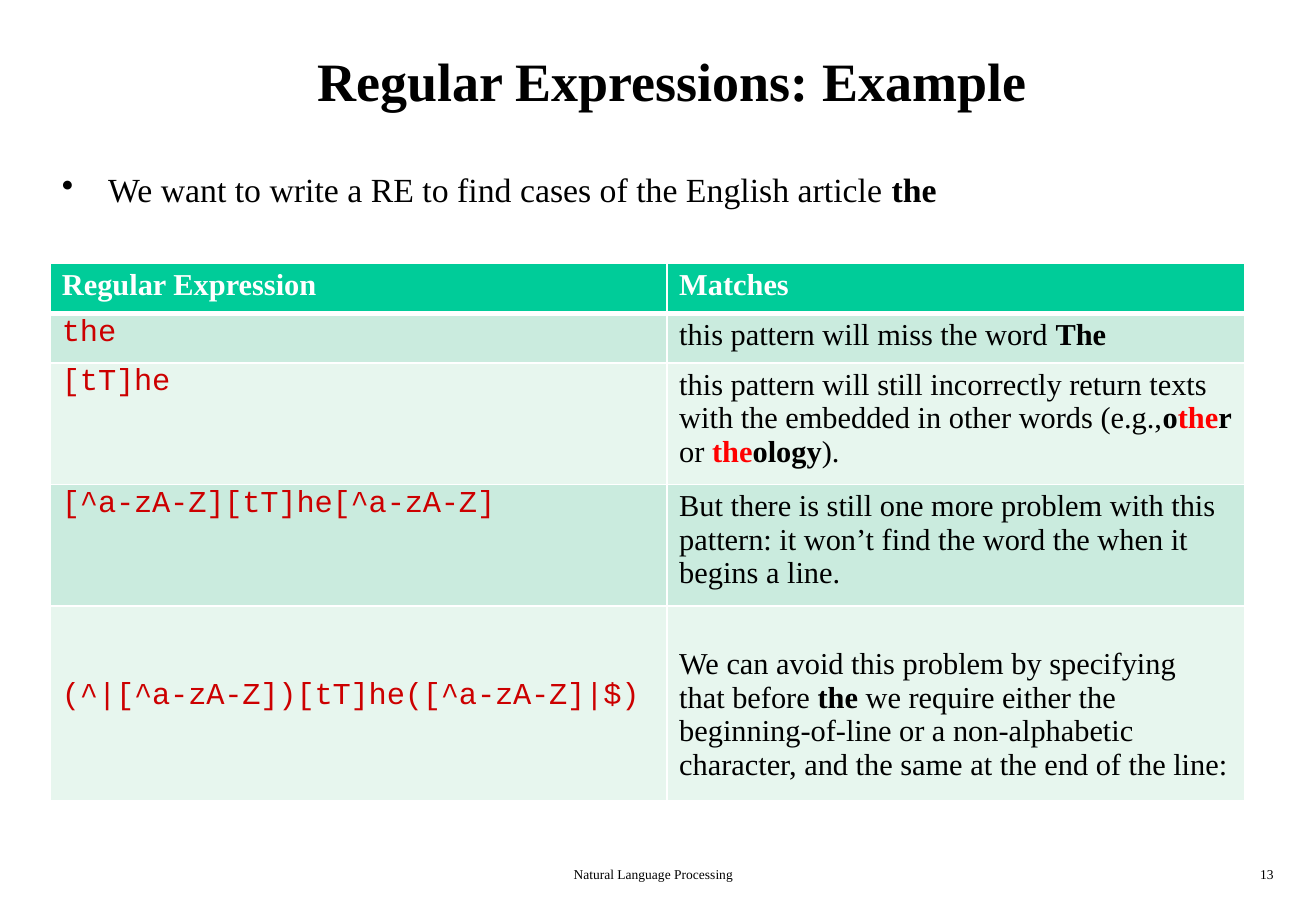
"""Build the slide on regular expressions that find the English article "the"."""
import pptx
import pptx.dml.color
import pptx.enum.text
import pptx.oxml
import pptx.oxml.ns
import pptx.util

Inches = pptx.util.Inches
Pt = pptx.util.Pt
RGBColor = pptx.dml.color.RGBColor

BLACK = RGBColor(0x00, 0x00, 0x00)
WHITE = RGBColor(0xFF, 0xFF, 0xFF)
RED = RGBColor(0xFF, 0x00, 0x00)
CODE_RED = RGBColor(0xCC, 0x00, 0x00)
HEADER_GREEN = RGBColor(0x00, 0xCC, 0x99)
BAND_DARK = RGBColor(0xCA, 0xEB, 0xDE)
BAND_LIGHT = RGBColor(0xE7, 0xF6, 0xEE)
SERIF = "Times New Roman"
MONO = "Courier New"
NAMESPACE = pptx.oxml.ns.nsdecls("a")


def add_runs(para, runs, size, font=SERIF):
    """Add (text, color, bold) runs, breaking the line at each newline."""
    for text, color, bold in runs:
        for number, line in enumerate(text.split("\n")):
            if number:
                para.add_line_break()
            if not line:
                continue
            span = para.add_run()
            span.text = line
            span.font.size = Pt(size)
            span.font.name = font
            span.font.bold = bold
            span.font.color.rgb = color
            if font == MONO:
                span._r.get_or_add_rPr().set("spc", "-10")


def add_box(page, left, top, width, height, runs, size, margin_top):
    """Add a text box and return its paragraph."""
    box = page.shapes.add_textbox(Inches(left), Inches(top), Inches(width), Inches(height))
    frame = box.text_frame
    frame.word_wrap = True
    frame.margin_left = frame.margin_right = frame.margin_bottom = 0
    frame.margin_top = Inches(margin_top)
    para = frame.paragraphs[0]
    add_runs(para, runs, size)
    return para


deck = pptx.Presentation()
deck.slide_width = Inches(10.83)
deck.slide_height = Inches(7.5)
page = deck.slides.add_slide(deck.slide_layouts[6])

add_box(page, 2.61, 0.37, 5.95, 0.56,
        [("Regular Expressions: Example", BLACK, True)], 32, 0.02)
add_box(page, 4.72, 7.13, 1.4, 0.15,
        [("Natural Language Processing", BLACK, False)], 8, 0)
add_box(page, 10.37, 7.13, 0.2, 0.15, [("13", BLACK, False)], 8, 0)

bullet = add_box(page, 0.5, 1.36, 7.3, 0.36, [
    ("We want to write a RE to find cases of the English article ", BLACK, False),
    ("the", BLACK, True),
], 20, 0.03)
bullet_props = bullet._p.get_or_add_pPr()
bullet_props.set("marL", str(Inches(0.39)))
bullet_props.set("indent", str(Inches(-0.38)))
bullet_props.append(pptx.oxml.parse_xml(f'<a:buChar {NAMESPACE} char="•"/>'))

expressions = ["the", "[tT]he", "[^a-zA-Z][tT]he[^a-zA-Z]",
               "(^|[^a-zA-Z])[tT]he([^a-zA-Z]|$)"]
matches = [
    [("this pattern will miss the word ", BLACK, False), ("The", BLACK, True)],
    [("this pattern will still incorrectly return texts\n"
      "with the embedded in other words (e.g.,", BLACK, False),
     ("o", BLACK, True), ("the", RED, True), ("r", BLACK, True),
     ("\nor ", BLACK, False), ("the", RED, True), ("ology", BLACK, True),
     (").", BLACK, False)],
    [("But there is still one more problem with this\n"
      "pattern: it won’t find the word the when it\nbegins a line.", BLACK, False)],
    [("We can avoid this problem by specifying\nthat before ", BLACK, False),
     ("the ", BLACK, True),
     ("we require either the\nbeginning-of-line or a non-alphabetic\n"
      "character, and the same at the end of the line:", BLACK, False)],
]
rows = [([("Regular Expression", WHITE, True)], [("Matches", WHITE, True)])]
rows += [([(code, CODE_RED, False)], note) for code, note in zip(expressions, matches)]
row_heights = [0.41, 0.41, 1, 1, 1.6]
row_fills = [HEADER_GREEN, BAND_DARK, BAND_LIGHT, BAND_DARK, BAND_LIGHT]
top_margins = [(0.04, 0.04), (0.02, 0.04), (0.02, 0.04), (0.02, 0.04), (0.6, 0.34)]

table = page.shapes.add_table(len(rows), 2, Inches(0.41), Inches(2.17),
                              Inches(9.83), Inches(sum(row_heights))).table
table.first_row = False
table.horz_banding = False
for column, width in zip(table.columns, (5.08, 4.75)):
    column.width = Inches(width)

for row_index, contents in enumerate(rows):
    table.rows[row_index].height = Inches(row_heights[row_index])
    for column_index, runs in enumerate(contents):
        cell = table.cell(row_index, column_index)
        cell.margin_left = Inches(0.1)
        cell.margin_right = cell.margin_bottom = 0
        cell.margin_top = Inches(top_margins[row_index][column_index])
        cell.vertical_anchor = pptx.enum.text.MSO_ANCHOR.TOP
        is_code = row_index > 0 and column_index == 0
        add_runs(cell.text_frame.paragraphs[0], runs, 18, MONO if is_code else SERIF)
        cell_props = cell._tc.get_or_add_tcPr()
        for side in "LRTB":
            thick = (row_index, side) in ((0, "B"), (1, "T"))
            cell_props.append(pptx.oxml.parse_xml(
                f'<a:ln{side} {NAMESPACE} w="{Pt(3 if thick else 1)}">'
                f'<a:solidFill><a:srgbClr val="{WHITE}"/></a:solidFill></a:ln{side}>'))
        cell.fill.solid()
        cell.fill.fore_color.rgb = row_fills[row_index]

deck.save("out.pptx")
